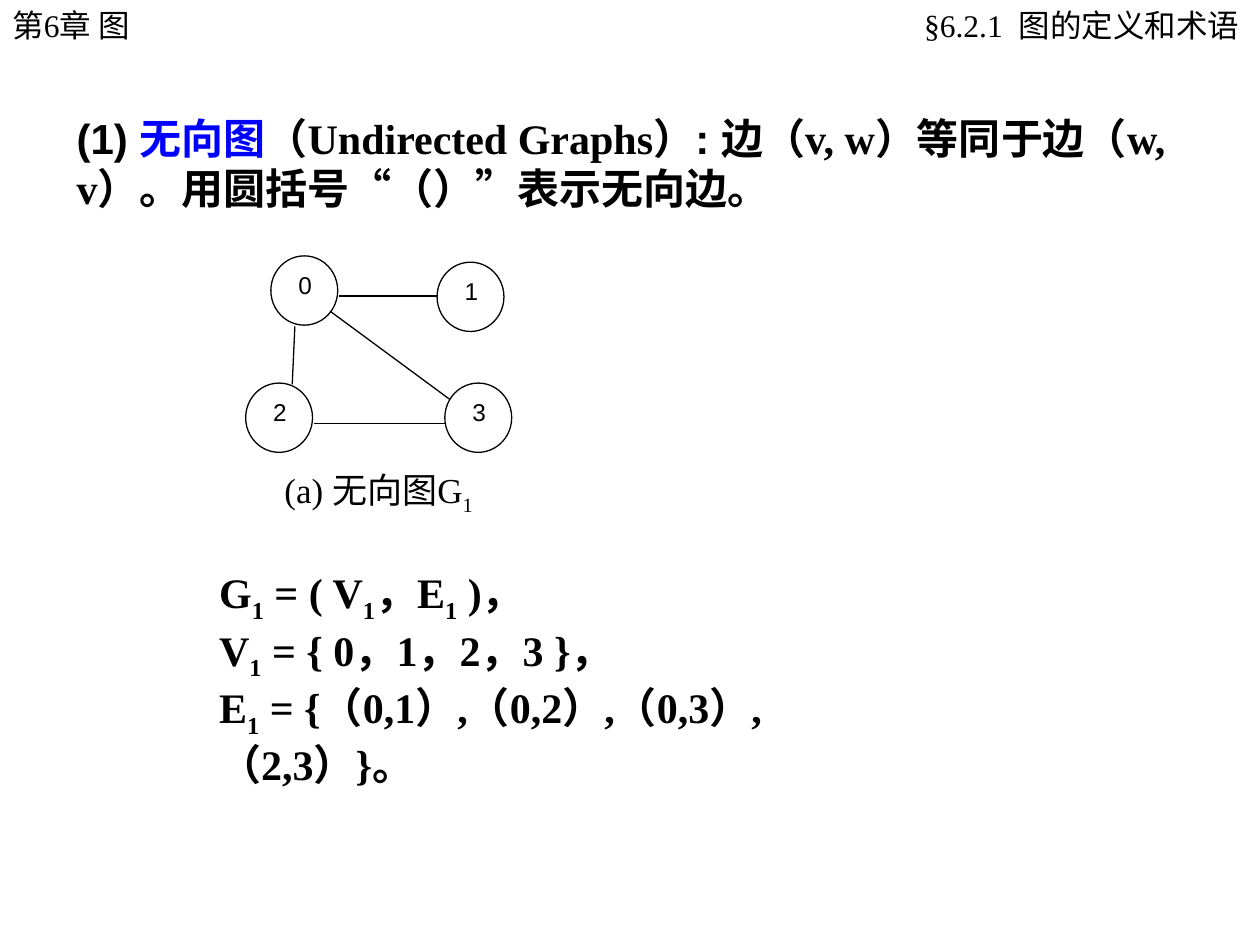
from lxml.etree import SubElement
from pptx import Presentation
from pptx.dml.color import RGBColor
from pptx.enum.shapes import MSO_CONNECTOR as CONN, MSO_SHAPE as SHAPE
from pptx.enum.text import MSO_ANCHOR as ANCHOR, PP_ALIGN as ALIGN
from pptx.oxml.ns import qn
from pptx.util import Pt

SERIF, SANS = "Times New Roman", "Arial"
BLACK, BLUE, WHITE = "000000", "0000FF", "FFFFFF"


def rgb(color):
    return RGBColor.from_string(color)


def add_run(p, text, size=24, font=SERIF, color=BLACK, bold=False, sub=False):
    r = p.add_run()
    r.text = text
    r.font.size = Pt(size)
    r.font.name = font
    r.font.bold = bold
    r.font.color.rgb = rgb(color)
    if sub:
        r.font._element.set("baseline", "-25000")


prs = Presentation()
prs.slide_width, prs.slide_height = Pt(720), Pt(540)
s = prs.slides.add_slide(prs.slide_layouts[6])

# Text boxes: left, top, width, height, right inset, alignment,
# then paragraphs made of (text, format) runs
head, caption, strong = dict(size=18), dict(size=20), dict(bold=True)
strong_sub = dict(bold=True, sub=True)
boxes = [
    # Running heads
    (500.4, 0, 218.9, 28.8, 11.2, ALIGN.RIGHT,
     [[("§6.2.1  图的定义和术语", head)]]),
    (0, 0, 125.3, 28.8, 7.2, ALIGN.LEFT, [[("第6章 图", head)]]),
    # Definition
    (36.7, 60.5, 671.8, 64.8, 7.2, ALIGN.LEFT, [[
        ("(1) ", dict(bold=True, font=SANS)),
        ("无向图", dict(bold=True, color=BLUE)),
        ("（Undirected Graphs）", strong),
        (": ", dict(bold=True, font=SANS)),
        ("边（v, w）等同于边（w, v）。用圆括号“（）”表示无向边。", strong)]]),
    # Graph caption
    (155.5, 264.2, 204.5, 59, 7.2, ALIGN.LEFT,
     [[("(a) 无向图G", caption), ("1", dict(size=20, sub=True))]]),
    # Vertex and edge sets
    (118.1, 320.4, 416.2, 134.6, 7.2, ALIGN.LEFT, [
        [("G", strong), ("1", strong_sub), (" = ( V", strong), ("1", strong_sub),
         ("，E", strong), ("1", strong_sub), (" )，", strong)],
        [("V", strong), ("1", strong_sub), (" = { 0，1，2，3 }，", strong)],
        [("E", strong), ("1", strong_sub),
         (" = {（0,1）,（0,2）,（0,3）,（2,3）}。", strong)]]),
]
for x, y, w, h, inset, align, paragraphs in boxes:
    tf = s.shapes.add_textbox(Pt(x), Pt(y), Pt(w), Pt(h)).text_frame
    tf.word_wrap = True
    tf.margin_right = Pt(inset)
    for i, runs in enumerate(paragraphs):
        p = tf.add_paragraph() if i else tf.paragraphs[0]
        p.alignment = align
        for text, fmt in runs:
            add_run(p, text, **fmt)

# Graph vertices, each a circle with a label box on it
graph = s.shapes.add_group_shape().shapes
vertices = {"0": (154.8, 146.2), "1": (249.8, 149.8),
            "2": (140.4, 218.9), "3": (254.2, 218.9)}
for name, (x, y) in vertices.items():
    circle = graph.add_shape(SHAPE.OVAL, Pt(x), Pt(y), Pt(38.2), Pt(39.6))
    circle.line.color.rgb = rgb(BLACK)
    circle.line.width = Pt(0.75)
    label = graph.add_shape(SHAPE.RECTANGLE, Pt(x + 12), Pt(y + 11.5),
                            Pt(15.1), Pt(17.3))
    label.line.fill.background()
    for sp in (circle, label):
        sp.shadow.inherit = False
        sp.fill.solid()
        sp.fill.fore_color.rgb = rgb(WHITE)
    tf = label.text_frame
    tf.margin_left = tf.margin_top = tf.margin_right = tf.margin_bottom = 0
    tf.vertical_anchor = ANCHOR.TOP
    p = tf.paragraphs[0]
    p.alignment = ALIGN.CENTER
    p.line_spacing = 0.8
    add_run(p, name, size=13.9, font=SANS)

# Graph edges: 0-1, 0-2, 0-3, 2-3
edges = [(193.7, 169.2, 249.8, 169.2), (168.5, 186.5, 167, 219.6),
         (188.6, 177.8, 257, 228.2), (179.3, 241.9, 254.2, 241.9)]
for ends in edges:
    edge = graph.add_connector(CONN.STRAIGHT, *map(Pt, ends))
    edge.line.color.rgb = rgb(BLACK)
    edge.line.width = Pt(0.75)
    SubElement(edge._element.spPr, qn("a:effectLst"))

prs.save("out.pptx")
